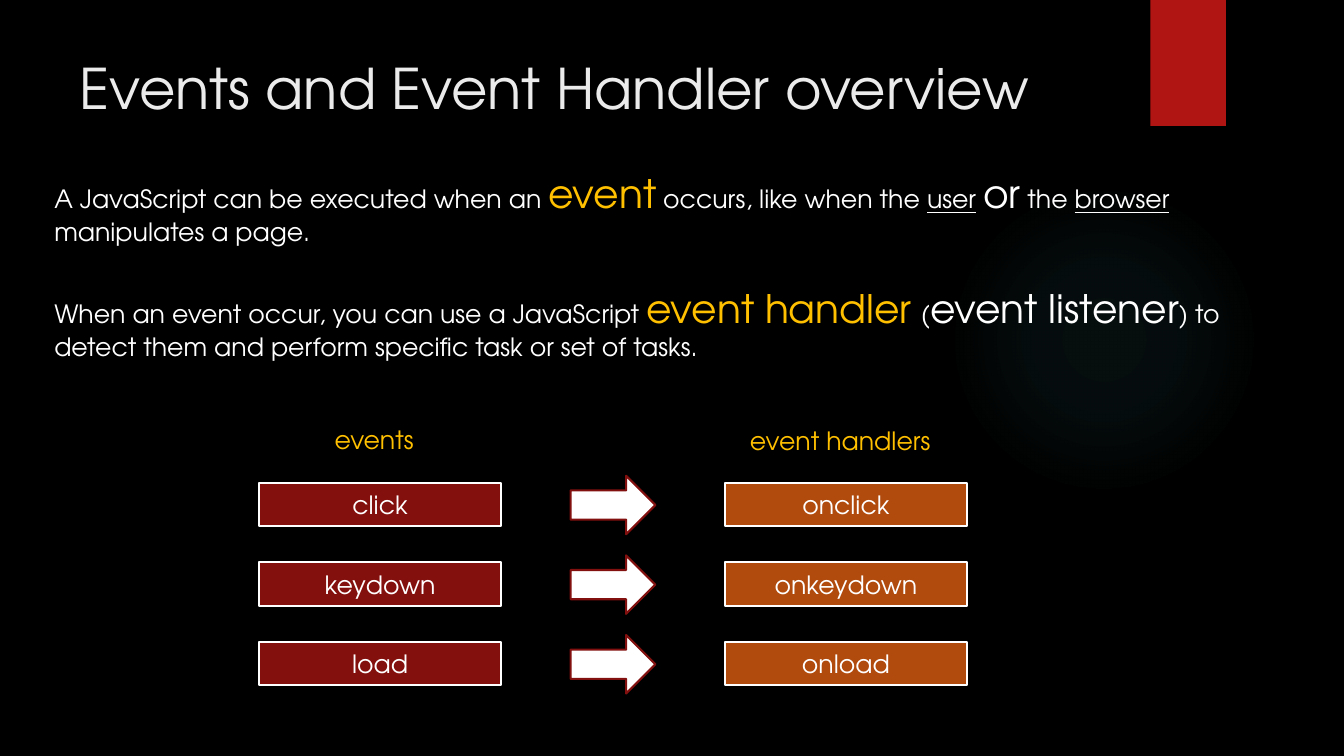
"""Build the slide on JavaScript events and their handlers."""
from dataclasses import dataclass

import pptx
import pptx.dml.color
import pptx.enum.shapes
import pptx.enum.text
import pptx.oxml
import pptx.oxml.ns
import pptx.util

PX = 9144
FONT = "TeX Gyre Adventor"
COLORS = {
    "background": "000000",
    "glow": "50B9C1",
    "ribbon": "B01513",
    "title": "EBEBEB",
    "white": "FFFFFF",
    "gold": "FFC000",
    "event": "84100E",
    "handler": "B04A0D",
    "arrow_line": "82100E",
}
SHAPES = pptx.enum.shapes.MSO_SHAPE


@dataclass
class Box:
    x: int
    y: int
    w: int
    h: int

    def emu(self) -> list[int]:
        return [v * PX for v in (self.x, self.y, self.w, self.h)]


@dataclass
class Run:
    text: str
    size: int = 18
    color: str = "white"
    underline: bool = False


@dataclass
class Label:
    box: Box
    runs: list[Run]


@dataclass
class Pair:
    event: str
    handler: str


LABELS = [
    Label(Box(69, 48, 1125, 88), [Run("Events and Event Handler overview", 40, "title")]),
    Label(Box(44, 163, 1246, 88), [
        Run("A JavaScript can be executed when an "),
        Run("event", 28, "gold"),
        Run(" occurs, like when the "),
        Run("user", underline=True),
        Run(" "),
        Run("or", 28),
        Run(" the "),
        Run("browser", underline=True),
        Run(" manipulates a page."),
    ]),
    Label(Box(44, 277, 1246, 88), [
        Run("When an event occur, you can use a JavaScript "),
        Run("event handler", 28, "gold"),
        Run(" ", 24, "gold"),
        Run("("),
        Run("event listener", 28),
        Run(") to detect them and perform specific task or set of tasks."),
    ]),
    Label(Box(322, 416, 237, 40), [Run("events", color="gold")]),
    Label(Box(734, 417, 237, 40), [Run("event handlers", color="gold")]),
]
PAIRS = [Pair("click", "onclick"), Pair("keydown", "onkeydown"), Pair("load", "onload")]
ROW_TOP, ROW_PITCH = 479, 79


def rgb(name: str) -> pptx.dml.color.RGBColor:
    return pptx.dml.color.RGBColor.from_string(COLORS[name])


def add_runs(p, runs: list[Run]) -> None:
    for run in runs:
        r = p.add_run()
        r.text = run.text
        r.font.name = FONT
        r.font.size = pptx.util.Pt(run.size)
        r.font.color.rgb = rgb(run.color)
        r.font.underline = run.underline


def add_label(s, label: Label) -> None:
    tf = s.shapes.add_textbox(*label.box.emu()).text_frame
    tf.word_wrap = True
    add_runs(tf.paragraphs[0], label.runs)


def add_block(s, kind, box: Box, fill: str, line: str = "", text: str = ""):
    sp = s.shapes.add_shape(kind, *box.emu())
    sp.shadow.inherit = False
    sp.fill.solid()
    sp.fill.fore_color.rgb = rgb(fill)
    if line:
        sp.line.color.rgb = rgb(line)
        sp.line.width = pptx.util.Pt(1.5)
    else:
        sp.line.fill.background()
    if text:
        tf = sp.text_frame
        tf.word_wrap = True
        tf.vertical_anchor = pptx.enum.text.MSO_ANCHOR.MIDDLE
        p = tf.paragraphs[0]
        p.alignment = pptx.enum.text.PP_ALIGN.CENTER
        add_runs(p, [Run(text)])
    return sp


def add_glow(s, box: Box) -> None:
    sp = add_block(s, SHAPES.OVAL, box, "glow")
    stops = "".join(
        f'<a:gs pos="{pos * 1000}"><a:srgbClr val="{COLORS["glow"]}">'
        f'<a:alpha val="{alpha * 1000}"/></a:srgbClr></a:gs>'
        for pos, alpha in ((0, 7), (36, 6), (69, 0))
    )
    grad = pptx.oxml.parse_xml(
        f'<a:gradFill {pptx.oxml.ns.nsdecls("a")} rotWithShape="1"><a:gsLst>{stops}</a:gsLst>'
        '<a:path path="circle"><a:fillToRect l="50000" t="50000" r="50000" b="50000"/>'
        '</a:path></a:gradFill>'
    )
    spPr = sp._element.spPr
    spPr.replace(spPr.find(pptx.oxml.ns.qn("a:solidFill")), grad)


def main() -> None:
    prs = pptx.Presentation()
    prs.slide_width, prs.slide_height = 1333 * PX, 750 * PX
    s = prs.slides.add_slide(prs.slide_layouts[6])
    s.background.fill.solid()
    s.background.fill.fore_color.rgb = rgb("background")
    add_glow(s, Box(941, 183, 308, 308))
    add_block(s, SHAPES.RECTANGLE, Box(1141, 0, 75, 125), "ribbon")
    for label in LABELS:
        add_label(s, label)
    for i, pair in enumerate(PAIRS):
        y = ROW_TOP + i * ROW_PITCH
        add_block(s, SHAPES.RECTANGLE, Box(257, y, 240, 43), "event", "white", pair.event)
        add_block(s, SHAPES.RECTANGLE, Box(719, y, 240, 43), "handler", "white", pair.handler)
        add_block(s, SHAPES.RIGHT_ARROW, Box(566, y - 7, 84, 58), "white", "arrow_line")
    prs.save("out.pptx")


if __name__ == "__main__":
    main()
